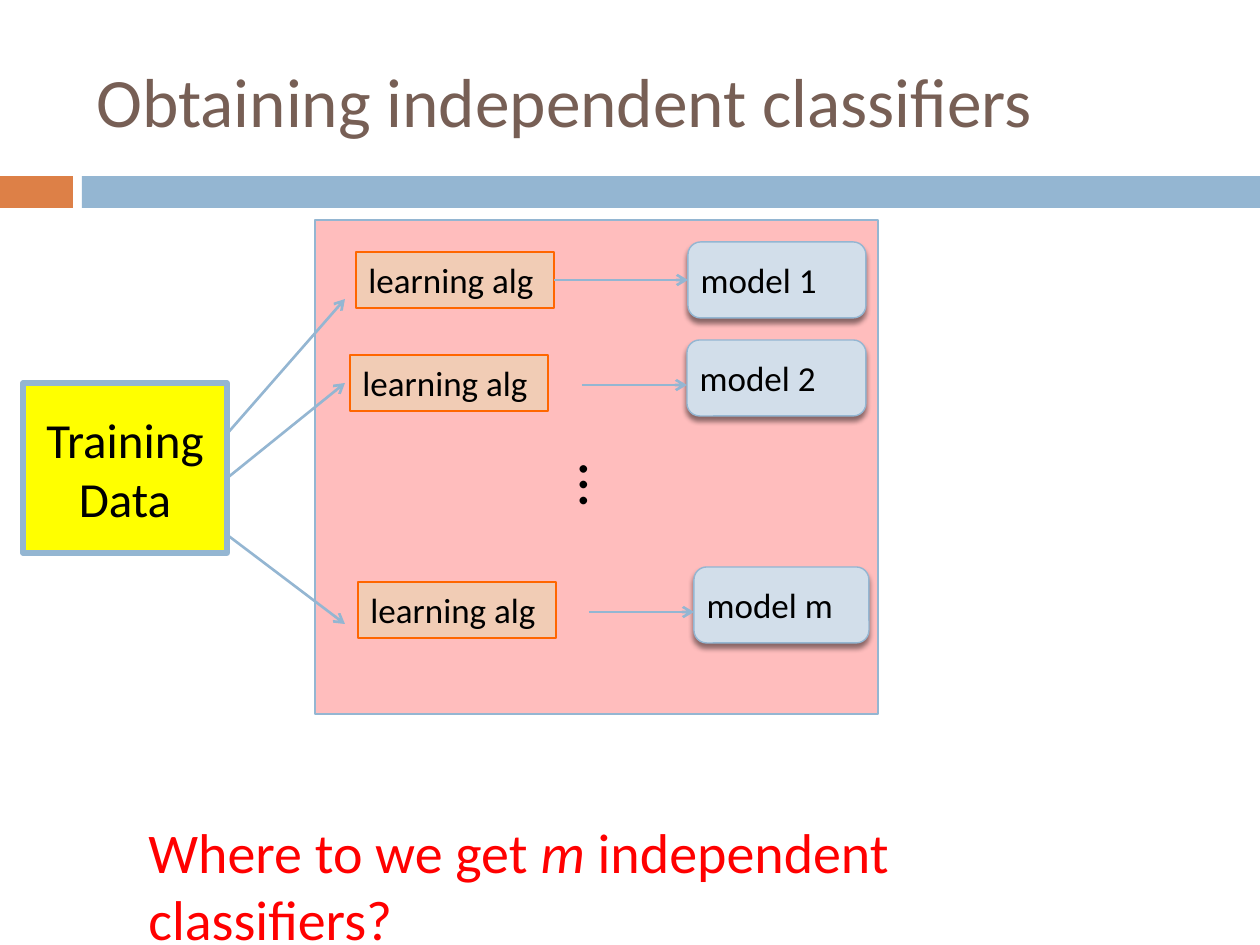
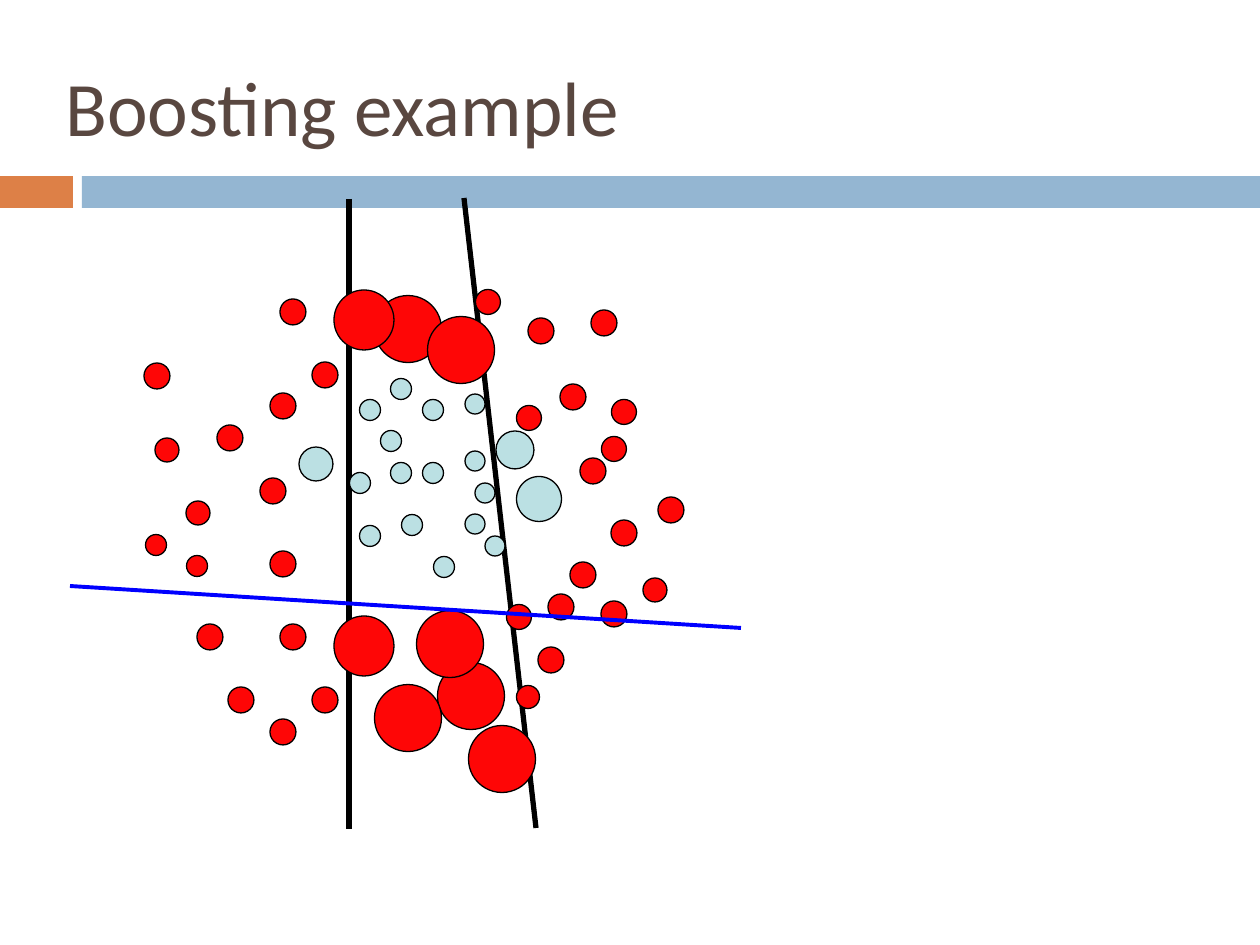
from lxml.etree import SubElement
from pptx import Presentation
from pptx.dml.color import RGBColor
from pptx.enum.shapes import MSO_CONNECTOR, MSO_SHAPE
from pptx.enum.text import MSO_ANCHOR, PP_ALIGN
from pptx.oxml.ns import qn
from pptx.util import Emu, Pt

PX_PER_INCH = 126
FONT = "Calibri"
BLACK, RED, YELLOW = "000000", "FF0000", "FFFF00"
BLUE, ORANGE = "94B6D2", "DD8047"
ALG_FILL, ALG_LINE, MODEL_FILL = "F1CCB5", "FF6600", "D2DEEA"
DOT_RED, DOT_BLUE, BOUNDARY_BLUE = "FE0606", "BBE0E3", "0000FF"

# Dots by diameter: centres in drawing order
BLUE_DOTS = {
    21: [(433, 410), (401, 473), (370, 536), (433, 473), (412, 525),
         (360, 483), (370, 410), (444, 567), (391, 441), (401, 389)],
    20: [(475, 404), (475, 524), (475, 461), (485, 493), (495, 546)],
    34: [(316, 464)],
}
RED_DOTS = {
    26: [(624, 533), (583, 575), (614, 614), (671, 510), (157, 376),
         (230, 438), (293, 637), (283, 564), (283, 732), (325, 700),
         (293, 312), (283, 406), (325, 375), (541, 331), (604, 323),
         (573, 397), (210, 637), (273, 491), (241, 700), (593, 471),
         (551, 660), (561, 607)],
    25: [(614, 449), (529, 418), (488, 302), (624, 412), (519, 617)],
    24: [(655, 590), (167, 450), (198, 513)],
    23: [(528, 697)],
    21: [(156, 545), (197, 566)],
    67: [(471, 696), (450, 644), (408, 718), (502, 759), (408, 329),
         (461, 350)],
    60: [(364, 646), (364, 320)],
}
MISCLASSIFIED_DOTS = {38: [(515, 450)], 45: [(539, 499)]}


def px(length):
    return Emu(round(length * 914400 / PX_PER_INCH))


def rgb(hex_color):
    return RGBColor.from_string(hex_color)


def add_box(slide, preset, box, fill, line=None, width=0.75):
    shape = slide.shapes.add_shape(preset, *map(px, box))
    shape.shadow.inherit = False
    shape.fill.solid()
    shape.fill.fore_color.rgb = rgb(fill)
    if line:
        shape.line.color.rgb = rgb(line)
        shape.line.width = Pt(width)
    else:
        shape.line.fill.background()
    return shape


def write(shape, text, size, color=BLACK, align=PP_ALIGN.LEFT,
          anchor=MSO_ANCHOR.TOP):
    frame = shape.text_frame
    frame.word_wrap = True
    frame.vertical_anchor = anchor
    frame.text = text
    for paragraph in frame.paragraphs:
        paragraph.alignment = align
        for run in paragraph.runs:
            run.font.name = FONT
            run.font.size = Pt(size)
            run.font.color.rgb = rgb(color)
    return frame


def add_text(slide, box, text, size, **style):
    label = slide.shapes.add_textbox(*map(px, box))
    write(label, text, size, **style)
    return label


def add_line(slide, start, end, color, width, arrow=False):
    line = slide.shapes.add_connector(MSO_CONNECTOR.STRAIGHT,
                                      *map(px, start + end))
    line.line.color.rgb = rgb(color)
    line.line.width = Pt(width)
    if arrow:
        SubElement(line.line._get_or_add_ln(), qn("a:tailEnd"), type="arrow")
    SubElement(line._element.spPr, qn("a:effectLst"))
    return line


def add_titled_slide(deck, title, box, size, color):
    slide = deck.slides.add_slide(deck.slide_layouts[6])
    add_box(slide, MSO_SHAPE.RECTANGLE, (0, 176, 73, 32), ORANGE)
    add_box(slide, MSO_SHAPE.RECTANGLE, (82, 176, 1178, 32), BLUE)
    heading = add_text(slide, box, title, size, color=color,
                       anchor=MSO_ANCHOR.MIDDLE)
    return slide, heading


def set_opacity(shape, percent):
    color = shape.fill._xPr.find(qn("a:solidFill"))[0]
    SubElement(color, qn("a:alpha"), val=str(percent * 1000))


def add_drop_shadow(shape):
    effects = shape._element.spPr.find(qn("a:effectLst"))
    shadow = SubElement(effects, qn("a:outerShdw"), blurRad=str(Pt(3)),
                        dist=str(Pt(2.4)), dir="5400000", rotWithShape="0")
    color = SubElement(shadow, qn("a:srgbClr"), val=BLACK)
    SubElement(color, qn("a:alpha"), val="45000")


def add_algorithm(slide, left, top):
    algorithm = add_box(slide, MSO_SHAPE.RECTANGLE, (left, top, 198, 56),
                        ALG_FILL, ALG_LINE)
    write(algorithm, "learning alg", 20)
    return algorithm


def add_model(slide, name, left, top, width):
    model = add_box(slide, MSO_SHAPE.ROUNDED_RECTANGLE,
                    (left, top, width, 76), MODEL_FILL, BLUE, 0.79)
    add_drop_shadow(model)
    frame = write(model, name, 20, anchor=MSO_ANCHOR.MIDDLE)
    frame.margin_left = px(9)
    return model


def add_dots(slide, dots, fill):
    for diameter, centres in dots.items():
        for x, y in centres:
            corner = (x - diameter / 2, y - diameter / 2)
            add_box(slide, MSO_SHAPE.OVAL, corner + (diameter, diameter),
                    fill, BLACK)


def build_classifiers(deck):
    slide, _ = add_titled_slide(deck, "Obtaining independent classifiers",
                                (84, 32, 1124, 136), 39.6, "775F55")

    # Question, with the m in italics
    question = add_text(slide, (136, 811, 1010, 81), "Where to we get", 32,
                        color=RED)
    sentence = question.text_frame.paragraphs[0]
    for text, italic in ((" m ", True), ("independent classifiers?", False)):
        run = sentence.add_run()
        run.text = text
        run.font.name, run.font.size = FONT, Pt(32)
        run.font.italic = italic
        run.font.color.rgb = rgb(RED)

    # Training data and the learning area
    area = add_box(slide, MSO_SHAPE.RECTANGLE, (315, 220, 563, 494), RED,
                   BLUE, 0.79)
    set_opacity(area, 26)
    training = add_box(slide, MSO_SHAPE.RECTANGLE, (23, 383, 204, 170),
                       YELLOW, BLUE, 3)
    write(training, "Training\nData", 28, align=PP_ALIGN.CENTER,
          anchor=MSO_ANCHOR.MIDDLE)
    for start_y, end_y in ((435, 299), (479, 383), (534, 624)):
        add_line(slide, (226, start_y), (345, end_y), BLUE, 1.5, arrow=True)

    # Each algorithm produces a model
    first_algorithm = add_algorithm(slide, 356, 252)
    first_model = add_model(slide, "model 1", 688, 242, 178)
    link = add_line(slide, (554, 280), (688, 280), BLUE, 1.5, arrow=True)
    link.begin_connect(first_algorithm, 3)
    link.end_connect(first_model, 1)
    for name, alg_left, alg_top, left, top, width in (
            ("model 2", 350, 355, 687, 340, 179),
            ("model m", 358, 582, 694, 567, 175)):
        add_algorithm(slide, alg_left, alg_top)
        add_model(slide, name, left, top, width)
        link_y = top + 45
        add_line(slide, (left - 105, link_y), (left, link_y), BLUE, 1.5,
                 arrow=True)
    more = add_text(slide, (561, 451, 89, 89), "…", 36)
    more.rotation = 90


def build_boosting(deck):
    slide, heading = add_titled_slide(deck, "Boosting example",
                                      (53, 32, 1134, 157), 44, "594740")
    heading.text_frame.paragraphs[0].line_spacing = 0.93

    # Decision boundaries and samples
    add_line(slide, (349, 199), (349, 829), BLACK, 3)
    add_line(slide, (464, 198), (536, 828), BLACK, 3)
    add_dots(slide, BLUE_DOTS, DOT_BLUE)
    add_dots(slide, RED_DOTS, DOT_RED)
    add_line(slide, (70, 586), (741, 628), BOUNDARY_BLUE, 2.25)
    add_dots(slide, MISCLASSIFIED_DOTS, DOT_BLUE)


def main():
    deck = Presentation()
    deck.slide_width, deck.slide_height = px(1260), px(945)
    build_classifiers(deck)
    build_boosting(deck)
    deck.save("out.pptx")


if __name__ == "__main__":
    main()
